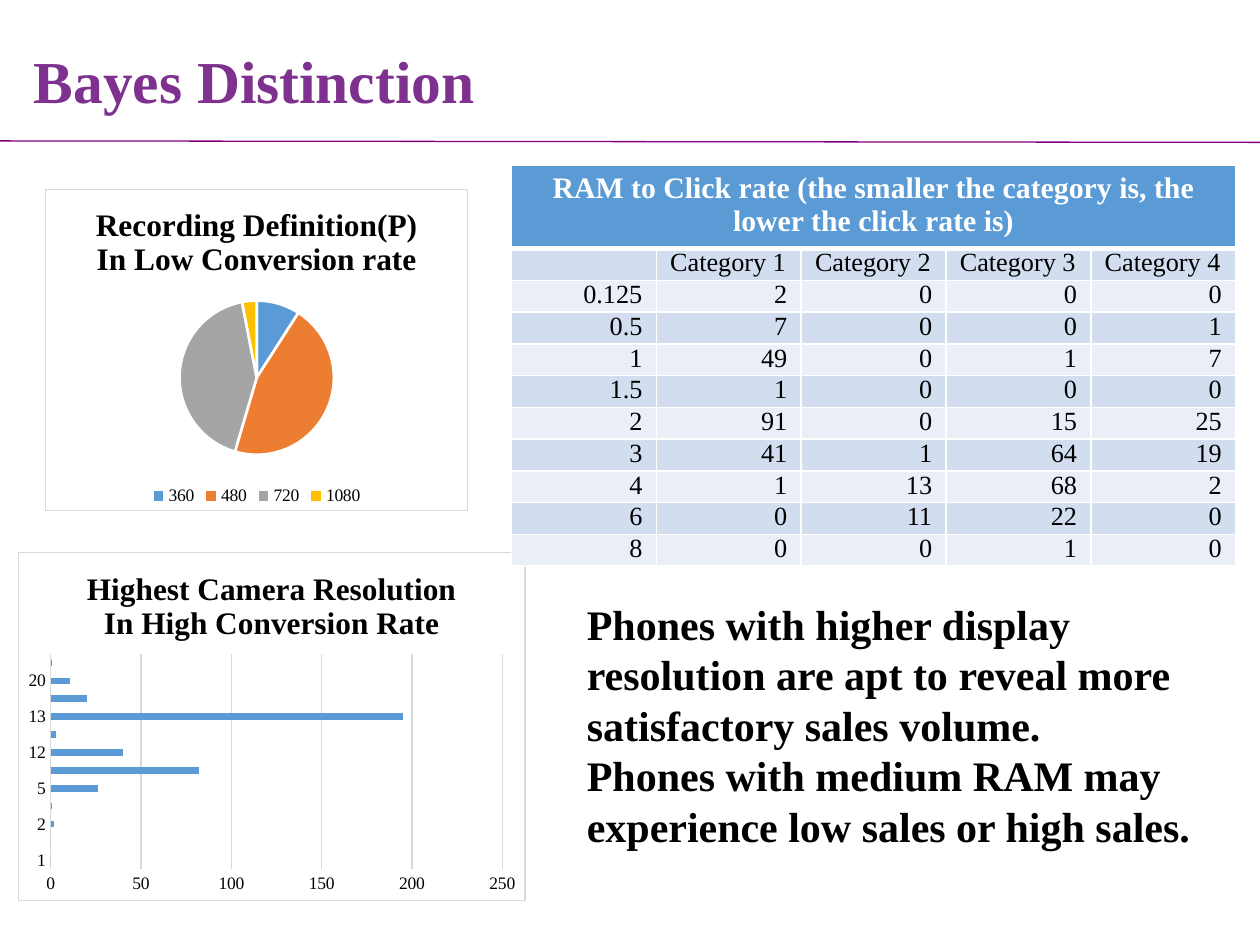
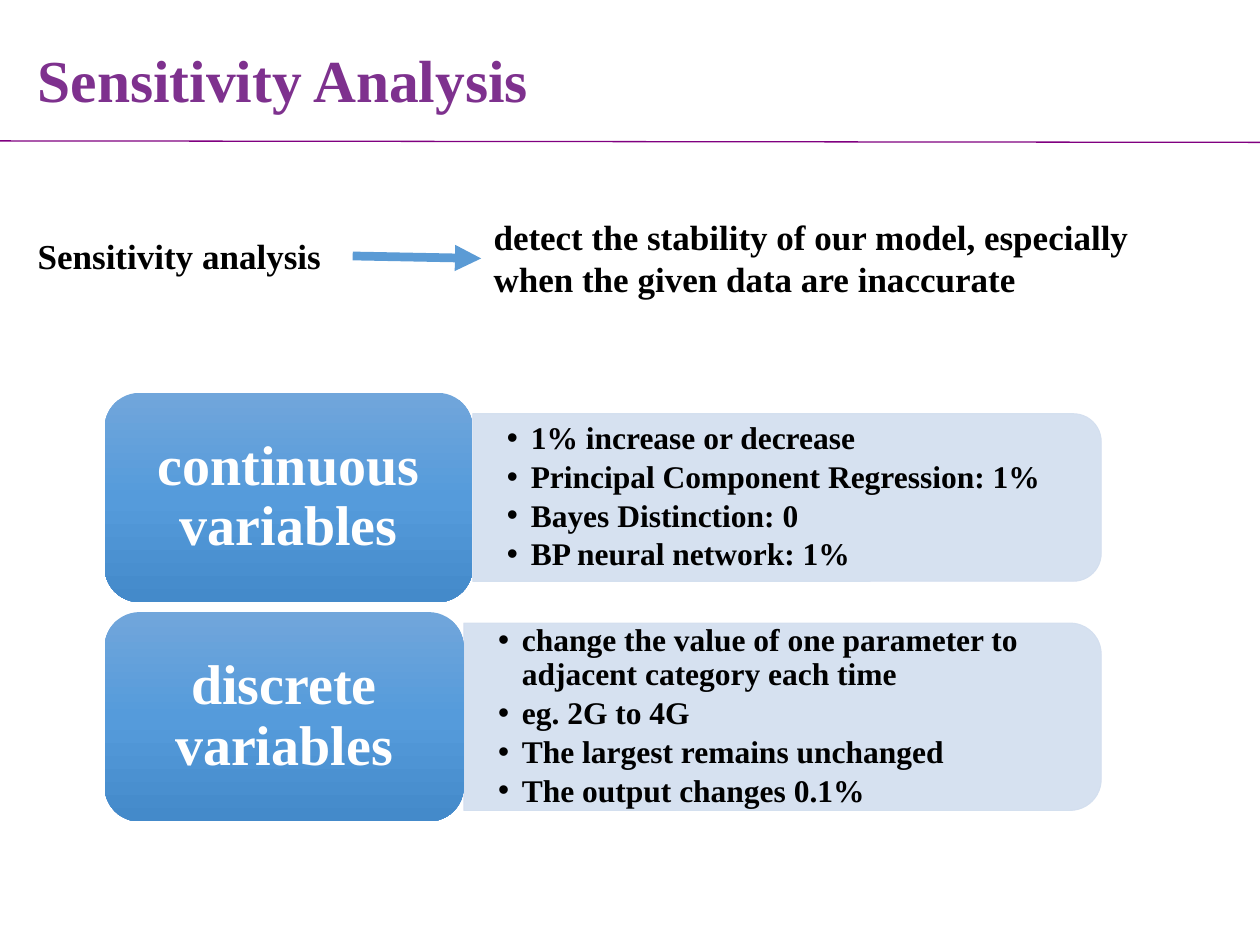
from copy import deepcopy
from dataclasses import dataclass

from lxml import etree
from pptx import Presentation
from pptx.chart.data import CategoryChartData
from pptx.dml.color import RGBColor
from pptx.enum.chart import XL_CHART_TYPE, XL_LEGEND_POSITION, XL_TICK_MARK
from pptx.enum.shapes import MSO_CONNECTOR, MSO_SHAPE
from pptx.enum.text import MSO_ANCHOR, MSO_AUTO_SIZE, PP_ALIGN
from pptx.oxml import parse_xml
from pptx.oxml.ns import nsdecls, qn
from pptx.util import Cm, Pt

TITLE_ONLY, TWO_CONTENT = 5, 3


@dataclass(frozen=True)
class Theme:
    font: str = "Times New Roman"
    title: str = "7E318E"
    rule: str = "800080"
    text: str = "000000"
    white: str = "FFFFFF"
    accent: str = "5B9BD5"
    band_dark: str = "D2DEEF"
    band_light: str = "EAEFF7"
    grid: str = "D9D9D9"
    slices: tuple = ("5B9BD5", "ED7D31", "A5A5A5", "FFC000")
    gradient: tuple = ("71A6DB", "559BDB", "448ACA")
    title_size: int = 34
    label_size: int = 32
    finding_size: int = 24
    definition_size: int = 20
    list_size: int = 18
    chart_title_size: int = 18
    table_head_size: int = 17
    table_size: int = 15
    chart_size: int = 10


class Deck:
    def __init__(self, theme):
        self.theme = theme
        self.prs = Presentation()
        self.prs.slide_width, self.prs.slide_height = Cm(25.4), Cm(19.05)
        self.slide = None

    # Shared styling
    def style(self, font, size, color=None, bold=True):
        font.name, font.size, font.bold = self.theme.font, Pt(size), bold
        font.color.rgb = RGBColor.from_string(color or self.theme.text)

    def paint(self, part, color):
        part.fill.solid()
        part.fill.fore_color.rgb = RGBColor.from_string(color)

    def stroke(self, line, color, width):
        line.color.rgb = RGBColor.from_string(color)
        line.width = Pt(width)

    def place(self, shape, box):
        shape.left, shape.top, shape.width, shape.height = map(Cm, box)

    def margins(self, part, x, y):
        part.margin_left = part.margin_right = Cm(x)
        part.margin_top = part.margin_bottom = Cm(y)

    def set_text(self, frame, paragraphs, size, color=None, spacing=None,
                 align=PP_ALIGN.LEFT):
        frame.word_wrap = True
        frame.auto_size = MSO_AUTO_SIZE.NONE
        frame.text = "\n".join(paragraphs)
        for paragraph in frame.paragraphs:
            paragraph.alignment = align
            paragraph.line_spacing = spacing
            self.style(paragraph.font, size, color)

    # Slide with its title and purple rule
    def new_slide(self, layout, title, box, spacing):
        self.slide = self.prs.slides.add_slide(self.prs.slide_layouts[layout])
        heading = self.slide.shapes.title
        self.place(heading, box)
        heading.text_frame.vertical_anchor = MSO_ANCHOR.TOP
        self.set_text(heading.text_frame, [title], self.theme.title_size,
                      self.theme.title, spacing)
        self.line((0, 2.84), (25.4, 2.87), self.theme.rule, 0.75)

    def line(self, start, end, color, width, arrow=False):
        connector = self.slide.shapes.add_connector(
            MSO_CONNECTOR.STRAIGHT, *map(Cm, start + end))
        self.stroke(connector.line, color, width)
        properties = connector.element.spPr
        if arrow:
            etree.SubElement(properties.find(qn("a:ln")),
                             qn("a:tailEnd"), type="triangle")
        etree.SubElement(properties, qn("a:effectLst"))

    def text(self, box, paragraphs, size):
        frame = self.slide.shapes.add_textbox(*map(Cm, box)).text_frame
        self.set_text(frame, paragraphs, size)

    def bullets(self, index, box, items):
        holder = self.slide.placeholders[index]
        self.place(holder, box)
        frame = holder.text_frame
        frame.vertical_anchor = MSO_ANCHOR.MIDDLE
        self.margins(frame, 0.69, 0.36)
        self.set_text(frame, items, self.theme.list_size, spacing=0.9)
        for paragraph in frame.paragraphs:
            paragraph.space_before, paragraph.space_after = Pt(0), Pt(2.7)
            properties = paragraph._p.get_or_add_pPr()
            properties.set("marL", str(Cm(0.48)))
            properties.set("indent", str(-Cm(0.48)))
        # Bring the list in front of its panel
        holder.element.getparent().append(holder.element)

    def label(self, box, caption):
        shape = self.slide.shapes.add_shape(
            MSO_SHAPE.ROUNDED_RECTANGLE, *map(Cm, box))
        shape.shadow.inherit = False
        shape.line.fill.background()
        shape.fill.gradient()
        shape.fill.gradient_angle = 270
        stops = shape.element.find(".//" + qn("a:gsLst"))
        stops.insert(1, deepcopy(stops[0]))
        for i, (stop, color) in enumerate(
                zip(shape.fill.gradient_stops, self.theme.gradient)):
            stop.position = i / 2
            stop.color.rgb = RGBColor.from_string(color)
        shape.text_frame.vertical_anchor = MSO_ANCHOR.MIDDLE
        self.margins(shape.text_frame, 0.33, 0.18)
        self.set_text(shape.text_frame, [caption], self.theme.label_size,
                      self.theme.white, 0.9, PP_ALIGN.CENTER)

    def panel(self, box):
        """Box rounded on its right side: a quarter turn of a top-rounded one."""
        left, top, width, height = box
        shape = self.slide.shapes.add_shape(
            MSO_SHAPE.ROUND_2_SAME_RECTANGLE,
            Cm(left + (width - height) / 2), Cm(top + (height - width) / 2),
            Cm(height), Cm(width))
        shape.rotation = 90
        shape.shadow.inherit = False
        self.paint(shape, self.theme.band_dark)
        self.stroke(shape.line, self.theme.band_dark, 0.5)
        for color in shape.element.spPr.iter(qn("a:srgbClr")):
            etree.SubElement(color, qn("a:alpha"), val="90000")

    # Charts
    def chart(self, kind, box, title, categories, values):
        data = CategoryChartData()
        data.categories = categories
        data.add_series("Series 1", values)
        chart = self.slide.shapes.add_chart(kind, *map(Cm, box), data).chart
        self.style(chart.font, self.theme.chart_size, bold=False)
        chart.has_legend = False
        chart.has_title = True
        chart.chart_title.include_in_layout = False
        frame = chart.chart_title.text_frame
        frame.text = title
        for paragraph in frame.paragraphs:
            self.style(paragraph.font, self.theme.chart_title_size)
        chart.element.find(qn("c:txPr")).addprevious(parse_xml(
            f'<c:spPr {nsdecls("c", "a")}>'
            f'<a:solidFill><a:srgbClr val="{self.theme.white}"/></a:solidFill>'
            f'<a:ln w="{Pt(0.75)}"><a:solidFill>'
            f'<a:srgbClr val="{self.theme.grid}"/></a:solidFill></a:ln>'
            '</c:spPr>'))
        return chart

    def pie(self, box, title, categories, values):
        chart = self.chart(XL_CHART_TYPE.PIE, box, title, categories, values)
        chart.has_legend = True
        chart.legend.position = XL_LEGEND_POSITION.BOTTOM
        chart.legend.include_in_layout = False
        for i, color in enumerate(self.theme.slices):
            slice_format = chart.plots[0].series[0].points[i].format
            self.paint(slice_format, color)
            self.stroke(slice_format.line, self.theme.white, 1.5)

    def bars(self, box, title, categories, values):
        chart = self.chart(XL_CHART_TYPE.BAR_CLUSTERED, box, title,
                           categories, values)
        plot = chart.plots[0]
        plot.gap_width, plot.vary_by_categories = 182, False
        self.paint(plot.series[0].format, self.theme.accent)
        for axis in (chart.category_axis, chart.value_axis):
            axis.major_tick_mark = axis.minor_tick_mark = XL_TICK_MARK.NONE
        self.stroke(chart.category_axis.format.line, self.theme.grid, 0.75)
        chart.value_axis.format.line.fill.background()
        self.stroke(chart.value_axis.major_gridlines.format.line,
                    self.theme.grid, 0.75)

    # Table
    def cell(self, cell, value, fill, size, color, bold, align, bottom=1):
        properties = cell._tc.get_or_add_tcPr()
        for side, width in (("L", 1), ("R", 1), ("T", 1), ("B", bottom)):
            properties.append(parse_xml(
                f'<a:ln{side} {nsdecls("a")} w="{Pt(width)}"><a:solidFill>'
                f'<a:srgbClr val="{self.theme.white}"/></a:solidFill>'
                f'</a:ln{side}>'))
        self.paint(cell, fill)
        cell.text = value
        paragraph = cell.text_frame.paragraphs[0]
        paragraph.alignment = align
        self.style(paragraph.font, size, color, bold)

    def table(self, left, top, heading, rows):
        theme, columns = self.theme, len(rows[0])
        table = self.slide.shapes.add_table(
            len(rows) + 1, columns, Cm(left), Cm(top),
            Cm(2.92 * columns), Cm(1.68 + 0.64 * len(rows))).table
        table.horz_banding = False
        for row in table.rows:
            row.height = Cm(0.64)
        table.rows[0].height = Cm(1.68)
        table.cell(0, 0).merge(table.cell(0, columns - 1))
        self.cell(table.cell(0, 0), heading, theme.accent,
                  theme.table_head_size, theme.white, True, PP_ALIGN.CENTER, 3)
        for r, values in enumerate(rows, 1):
            fill = theme.band_dark if r % 2 else theme.band_light
            align = PP_ALIGN.LEFT if r == 1 else PP_ALIGN.RIGHT
            for c, value in enumerate(values):
                cell = table.cell(r, c)
                self.margins(cell, 0.28, 0)
                self.cell(cell, value, fill, theme.table_size, theme.text,
                          False, align)


def bayes_distinction(deck):
    deck.new_slide(TITLE_ONLY, "Bayes Distinction", (0.43, 0.05, 17.25, 2.18), 1.5)
    deck.pie((0.91, 3.81, 8.53, 6.5),
             "Recording Definition(P)\nIn Low Conversion rate",
             ["360", "480", "720", "1080"], [9, 45, 42, 3])
    deck.bars((0.36, 11.13, 10.24, 7.04),
              "Highest Camera Resolution\nIn High Conversion Rate",
              ["1", "1.3", "2", "4", "5", "8", "12", "12.1", "13", "16", "20", "21"],
              [0, 0, 2, 1, 26, 82, 40, 3, 195, 20, 11, 1])
    deck.text((11.58, 11.94, 13.44, 5.38), [
        "Phones with higher display resolution are apt to reveal more "
        "satisfactory sales volume.",
        "Phones with medium RAM may experience low sales or high sales.",
    ], deck.theme.finding_size)
    clicks_by_ram = [
        "0.125 2 0 0 0", "0.5 7 0 0 1", "1 49 0 1 7", "1.5 1 0 0 0",
        "2 91 0 15 25", "3 41 1 64 19", "4 1 13 68 2", "6 0 11 22 0", "8 0 0 1 0",
    ]
    deck.table(10.31, 3.33,
               "RAM to Click rate (the smaller the category is, the lower "
               "the click rate is)",
               [["", *(f"Category {n}" for n in range(1, 5))],
                *(row.split() for row in clicks_by_ram)])


def sensitivity_analysis(deck):
    deck.new_slide(TWO_CONTENT, "Sensitivity Analysis", (0.51, 0.3, 10.52, 1.96), 1.3)
    # Definition
    size = deck.theme.definition_size
    deck.text((9.7, 4.22, 14.4, 1.96),
              ["detect the stability of our model, especially when the given "
               "data are inaccurate"], size)
    deck.text((0.51, 4.6, 6.6, 1.12), ["Sensitivity analysis"], size)
    deck.line((7.11, 5.16), (9.7, 5.21), deck.theme.accent, 5, arrow=True)

    # Variable kinds: label on the left, panel with its list on the right
    kinds = [
        ("continuous variables", 7.42, 3.38, [
            "1% increase or decrease",
            "Principal Component Regression: 1%",
            "Bayes Distinction: 0",
            "BP neural network: 1%"]),
        ("discrete variables", 7.24, 3.78, [
            "change the value of one parameter to adjacent category each time",
            "eg. 2G to 4G",
            "The largest remains unchanged",
            "The output changes 0.1%"]),
    ]
    left, right, label_height = 2.11, 22.2, 4.22
    for i, (caption, label_width, panel_height, items) in enumerate(kinds):
        top = 7.92 + 4.42 * i
        panel_left = left + label_width
        panel_top = top + (label_height - panel_height) / 2
        panel_width = right - panel_left
        deck.panel((panel_left, panel_top, panel_width, panel_height))
        deck.bullets(i + 1, (panel_left, panel_top + 0.17, panel_width - 0.17,
                             panel_height - 0.34), items)
        deck.label((left, top, label_width, label_height), caption)


def main():
    deck = Deck(Theme())
    bayes_distinction(deck)
    sensitivity_analysis(deck)
    deck.prs.save("out.pptx")


if __name__ == "__main__":
    main()
